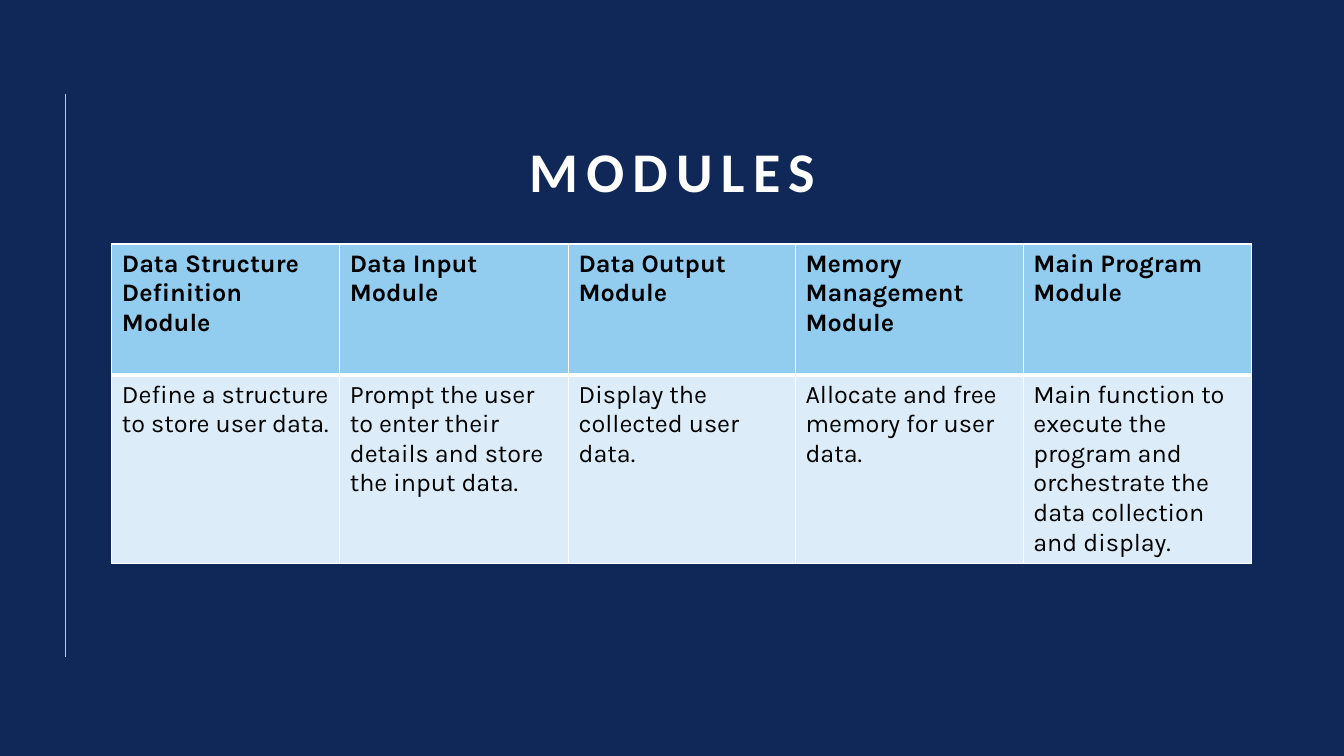
import pptx
import pptx.dml.color
import pptx.enum.shapes
import pptx.enum.text
import pptx.oxml
import pptx.oxml.ns
import pptx.util
from lxml import etree

Inches = pptx.util.Inches
Pt = pptx.util.Pt
RGBColor = pptx.dml.color.RGBColor
qn = pptx.oxml.ns.qn

NAVY = RGBColor(0x10, 0x28, 0x57)
WHITE = RGBColor(0xFF, 0xFF, 0xFF)
BLACK = RGBColor(0x00, 0x00, 0x00)
PINK = RGBColor(0xF6, 0xA6, 0xF4)
SKY = RGBColor(0x92, 0xCD, 0xF0)
PALE = RGBColor(0xDC, 0xED, 0xF9)

TITLE_FONT = {"name": "Calibri", "size": Pt(40), "bold": True}
CELL_FONT = {"name": "Karla", "size": Pt(18)}

MODULES = [
    ("Data Structure Definition Module", "Define a structure to store user data."),
    ("Data Input Module",
     "Prompt the user to enter their details and store the input data."),
    ("Data Output Module", "Display the collected user data."),
    ("Memory Management Module", "Allocate and free memory for user data."),
    ("Main Program Module",
     "Main function to execute the program and orchestrate the data "
     "collection and display."),
]
COLUMN_WIDTHS = [2.26, 2.27, 2.25, 2.26, 2.26]
ROW_HEIGHTS = [1.3, 1.87]


class Deck:
    """Holds the presentation, its style and the current slide."""

    def __init__(self):
        self.prs = pptx.Presentation()
        self.prs.slide_width = Inches(13.33)
        self.prs.slide_height = Inches(7.5)
        self.s = self.prs.slides.add_slide(self.prs.slide_layouts[5])
        fill = self.s.background.fill
        fill.solid()
        fill.fore_color.rgb = NAVY

    def format_run(self, r, color, style):
        for key, value in style.items():
            setattr(r.font, key, value)
        r.font.color.rgb = color

    def line(self, x1, y1, x2, y2, color, width):
        line = self.s.shapes.add_connector(
            pptx.enum.shapes.MSO_CONNECTOR.STRAIGHT,
            Inches(x1), Inches(y1), Inches(x2), Inches(y2))
        line.line.color.rgb = color
        line.line.width = Pt(width)
        etree.SubElement(line._element.spPr, qn("a:effectLst"))

    def title(self, text, x, y, w, h):
        sp = self.s.shapes.title
        box = {"left": x, "top": y, "width": w, "height": h}
        for key, value in box.items():
            setattr(sp, key, Inches(value))
        tf = sp.text_frame
        tf.word_wrap = True
        tf.vertical_anchor = pptx.enum.text.MSO_ANCHOR.BOTTOM
        p = tf.paragraphs[0]
        p.alignment = pptx.enum.text.PP_ALIGN.CENTER
        p.line_spacing = 0.9
        r = p.add_run()
        r.text = text
        self.format_run(r, WHITE, TITLE_FONT)
        r.font._element.set("spc", "600")

    def borders(self, cell, bottom):
        """Draw white cell borders, 1 pt except for the bottom one."""
        tc_pr = cell._tc.get_or_add_tcPr()
        widths = {"a:lnL": 1, "a:lnR": 1, "a:lnT": 1, "a:lnB": bottom}
        for i, (tag, width) in enumerate(widths.items()):
            ln = etree.Element(qn(tag), w=str(Pt(width)))
            fill = etree.SubElement(ln, qn("a:solidFill"))
            etree.SubElement(fill, qn("a:srgbClr"), val=str(WHITE))
            tc_pr.insert(i, ln)

    def cell(self, cell, text, header):
        cell.fill.solid()
        cell.fill.fore_color.rgb = SKY if header else PALE
        r = cell.text_frame.paragraphs[0].add_run()
        r.text = text
        self.format_run(r, BLACK, {**CELL_FONT, "bold": header})
        self.borders(cell, 3 if header else 1)

    def table(self, columns, x, y, widths, heights):
        table = self.s.shapes.add_table(
            len(heights), len(widths), Inches(x), Inches(y),
            Inches(sum(widths)), Inches(sum(heights))).table
        for row, height in zip(table.rows, heights):
            row.height = Inches(height)
        for col, (texts, width) in enumerate(zip(columns, widths)):
            table.columns[col].width = Inches(width)
            for row, text in enumerate(texts):
                self.cell(table.cell(row, col), text, row == 0)


def main():
    deck = Deck()
    deck.line(0.65, 0.93, 0.65, 6.52, PINK, 0.5)
    deck.title("MODULES", 1.2, 0.91, 10.93, 1.17)
    deck.table(MODULES, 1.11, 2.42, COLUMN_WIDTHS, ROW_HEIGHTS)
    deck.prs.save("out.pptx")


if __name__ == "__main__":
    main()
